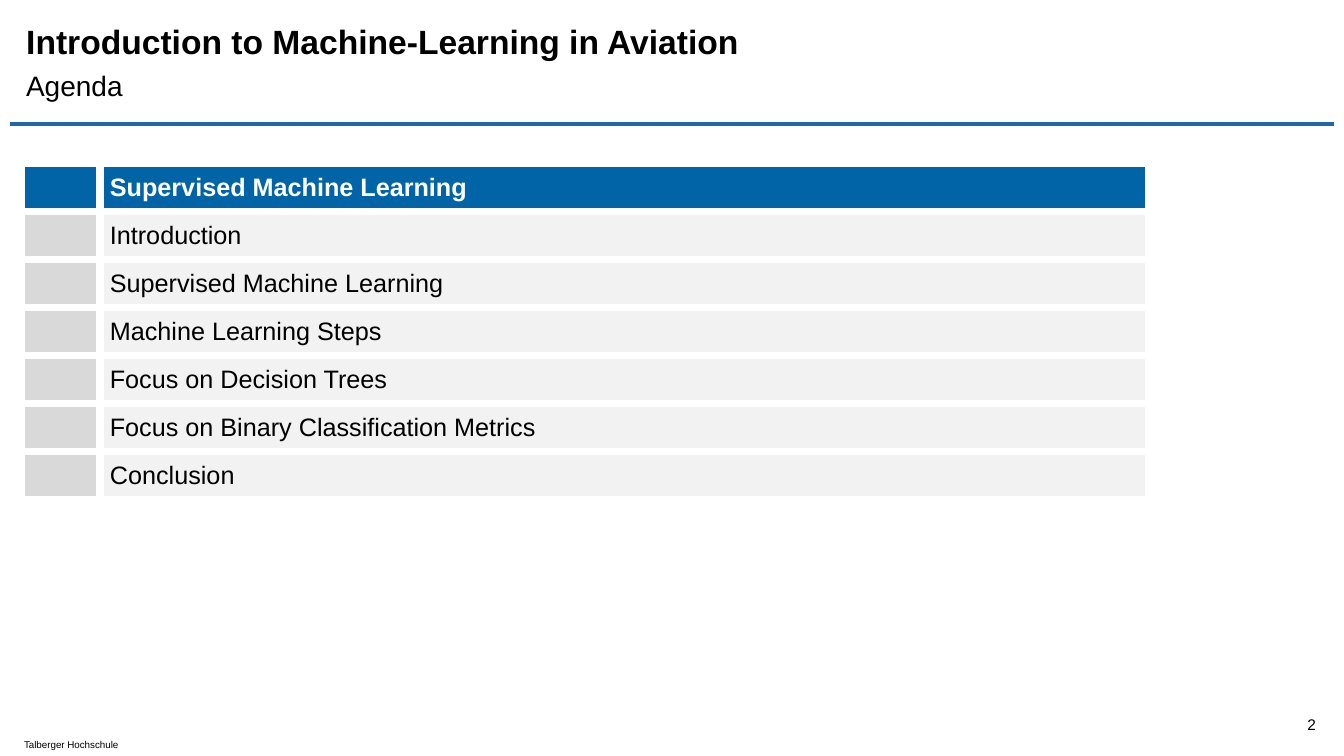
from lxml.etree import SubElement
from pptx import Presentation
from pptx.dml.color import RGBColor
from pptx.enum.shapes import MSO_CONNECTOR
from pptx.enum.text import MSO_ANCHOR, MSO_AUTO_SIZE, PP_ALIGN
from pptx.oxml import parse_xml
from pptx.oxml.ns import nsdecls, qn
from pptx.util import Inches, Pt

BLACK = RGBColor(0x00, 0x00, 0x00)
WHITE = RGBColor(0xFF, 0xFF, 0xFF)
RULE_BLUE = RGBColor(0x22, 0x66, 0xAB)
HEADER_BLUE = RGBColor(0x00, 0x64, 0xA6)
MID_GREY = RGBColor(0xD9, 0xD9, 0xD9)
LIGHT_GREY = RGBColor(0xF2, 0xF2, 0xF2)

AGENDA = [
    "Supervised Machine Learning",
    "Introduction",
    "Supervised Machine Learning",
    "Machine Learning Steps",
    "Focus on Decision Trees",
    "Focus on Binary Classification Metrics",
    "Conclusion",
]


def write_text(frame, text, size, color=BLACK, bold=False, align=PP_ALIGN.LEFT):
    frame.word_wrap = True
    frame.text = text
    paragraph = frame.paragraphs[0]
    paragraph.alignment = align
    paragraph.font.name = "Arial"
    paragraph.font.size = Pt(size)
    paragraph.font.bold = bold
    paragraph.font.color.rgb = color


def add_text(left, top, width, height, text, size, align=PP_ALIGN.LEFT):
    box = slide.shapes.add_textbox(Inches(left), Inches(top), Inches(width), Inches(height))
    write_text(box.text_frame, text, size, align=align)
    return box.text_frame


presentation = Presentation()
presentation.slide_width = Inches(13.33)
presentation.slide_height = Inches(7.5)
slide = presentation.slides.add_slide(presentation.slide_layouts[5])

title = slide.shapes.title
title.left, title.top = Inches(0.16), Inches(0.13)
title.width, title.height = Inches(10.13), Inches(0.55)
write_text(title.text_frame, "Introduction to Machine-Learning in Aviation", 24, bold=True)
title.text_frame.vertical_anchor = MSO_ANCHOR.MIDDLE
title.text_frame.auto_size = MSO_AUTO_SIZE.NONE

subtitle = add_text(0.16, 0.68, 10.13, 0.47, "Agenda", 20)
subtitle.margin_top = Inches(0)

rule = slide.shapes.add_connector(
    MSO_CONNECTOR.STRAIGHT, Inches(0.1), Inches(1.23), Inches(13.23), Inches(1.23)
)
rule.line.color.rgb = RULE_BLUE
rule.line.width = Pt(2.5)
SubElement(rule._element.spPr, qn("a:effectLst"))

table = slide.shapes.add_table(
    len(AGENDA), 2, Inches(0.21), Inches(1.62), Inches(11.18), Inches(3.34)
).table
table.first_row = False
table.horz_banding = False
table.columns[0].width = Inches(0.78)
table.columns[1].width = Inches(10.4)

for row, topic in enumerate(AGENDA):
    is_header = row == 0
    fills = (HEADER_BLUE, HEADER_BLUE) if is_header else (MID_GREY, LIGHT_GREY)
    for column, fill in enumerate(fills):
        cell = table.cell(row, column)
        cell.margin_left = cell.margin_right = Inches(0.1)
        cell.vertical_anchor = MSO_ANCHOR.MIDDLE
        properties = cell._tc.get_or_add_tcPr()
        for side in ("lnL", "lnR", "lnT", "lnB"):
            properties.append(parse_xml(
                f'<a:{side} {nsdecls("a")} w="{Pt(6)}"><a:solidFill>'
                f'<a:srgbClr val="{WHITE}"/></a:solidFill></a:{side}>'
            ))
        cell.fill.solid()
        cell.fill.fore_color.rgb = fill
    write_text(table.cell(row, 1).text_frame, topic, 18, WHITE if is_header else BLACK, is_header)

add_text(0.14, 7.28, 2.29, 0.22, "Talberger Hochschule", 7)
page_number = add_text(12.19, 7.06, 0.96, 0.25, "2", 11, PP_ALIGN.RIGHT)
page_number.vertical_anchor = MSO_ANCHOR.MIDDLE

presentation.save("out.pptx")
